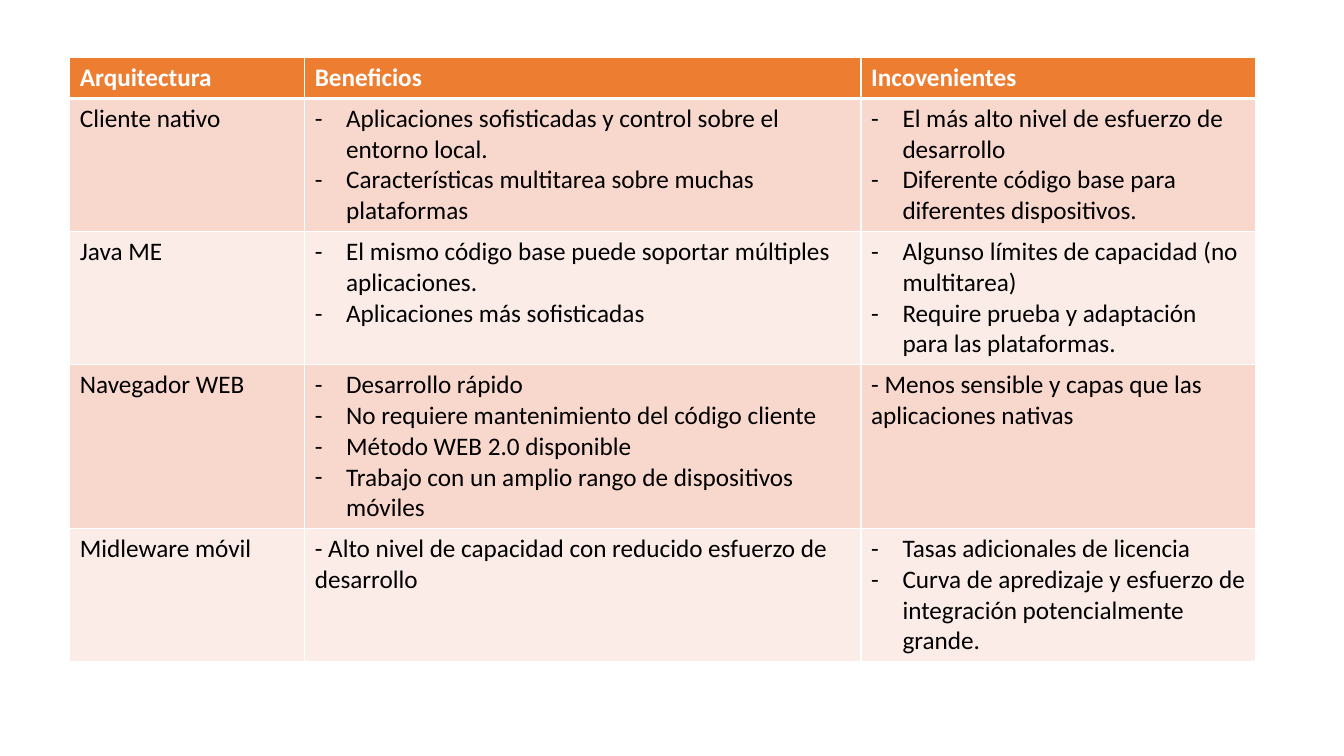
from lxml.etree import SubElement
from pptx import Presentation
from pptx.dml.color import RGBColor as RGB
from pptx.oxml.ns import qn
from pptx.util import Cm, Pt

COLORS = {
    "header": "ED7D31",
    "band_dark": "F8D7CD",
    "band_light": "FBECE7",
    "border": "FFFFFF",
    "header_text": "FFFFFF",
    "text": "000000",
}
COLUMN_WIDTHS = [5.92, 14.02, 9.95]
ROW_HEIGHTS = [1.02, 3.3, 3.3, 4.07, 3.3]
INDENT = Cm(0.79)

architectures = [
    ["Arquitectura", "Beneficios", "Incovenientes"],
    [
        "Cliente nativo",
        ["Aplicaciones sofisticadas y control sobre el entorno local.",
         "Características multitarea sobre muchas plataformas"],
        ["El más alto nivel de esfuerzo de desarrollo",
         "Diferente código base para diferentes dispositivos."],
    ],
    [
        "Java ME",
        ["El mismo código base puede soportar múltiples aplicaciones.",
         "Aplicaciones más sofisticadas"],
        ["Algunso límites de capacidad (no multitarea)",
         "Require prueba y adaptación para las plataformas."],
    ],
    [
        "Navegador WEB",
        ["Desarrollo rápido",
         "No requiere mantenimiento del código cliente",
         "Método WEB 2.0 disponible",
         "Trabajo con un amplio rango de dispositivos móviles"],
        "- Menos sensible y capas que las aplicaciones nativas",
    ],
    [
        "Midleware móvil",
        "- Alto nivel de capacidad con reducido esfuerzo de desarrollo",
        ["Tasas adicionales de licencia",
         "Curva de apredizaje y esfuerzo de integración potencialmente grande."],
    ],
]


def add_borders(cell, widths):
    for side, width in widths.items():
        line = SubElement(cell._tc.get_or_add_tcPr(), qn(f"a:ln{side}"), w=str(Pt(width)))
        fill = SubElement(line, qn("a:solidFill"))
        SubElement(fill, qn("a:srgbClr"), val=COLORS["border"])


def add_dash(paragraph):
    properties = paragraph._p.get_or_add_pPr()
    properties.set("marL", str(INDENT))
    properties.set("indent", str(-INDENT))
    SubElement(properties, qn("a:buFont"), typeface="Calibri")
    SubElement(properties, qn("a:buChar"), char="-")


prs = Presentation()
prs.slide_width, prs.slide_height = Cm(33.87), Cm(19.05)
slide = prs.slides.add_slide(prs.slide_layouts[6])

comparison = slide.shapes.add_table(
    len(ROW_HEIGHTS), len(COLUMN_WIDTHS), Cm(1.76), Cm(1.45),
    Cm(sum(COLUMN_WIDTHS)), Cm(sum(ROW_HEIGHTS))).table
for column, width in zip(comparison.columns, COLUMN_WIDTHS):
    column.width = Cm(width)
for row, height in zip(comparison.rows, ROW_HEIGHTS):
    row.height = Cm(height)

for r, entries in enumerate(architectures):
    is_header = r == 0
    band = "header" if is_header else "band_dark" if r % 2 else "band_light"
    text_color = COLORS["header_text" if is_header else "text"]
    for c, entry in enumerate(entries):
        cell = comparison.cell(r, c)
        add_borders(cell, {"L": 0.96, "R": 0.96,
                           "T": 3 if r == 1 else 0.96,
                           "B": 3 if is_header else 0.96})
        cell.fill.solid()
        cell.fill.fore_color.rgb = RGB.from_string(COLORS[band])
        is_list = isinstance(entry, list)
        cell.text_frame.text = "\n".join(entry) if is_list else entry
        for paragraph in cell.text_frame.paragraphs:
            if is_list:
                add_dash(paragraph)
            for run in paragraph.runs:
                run.font.name = "Calibri"
                run.font.size = Pt(18)
                run.font.bold = is_header
                run.font.color.rgb = RGB.from_string(text_color)

prs.save("out.pptx")
